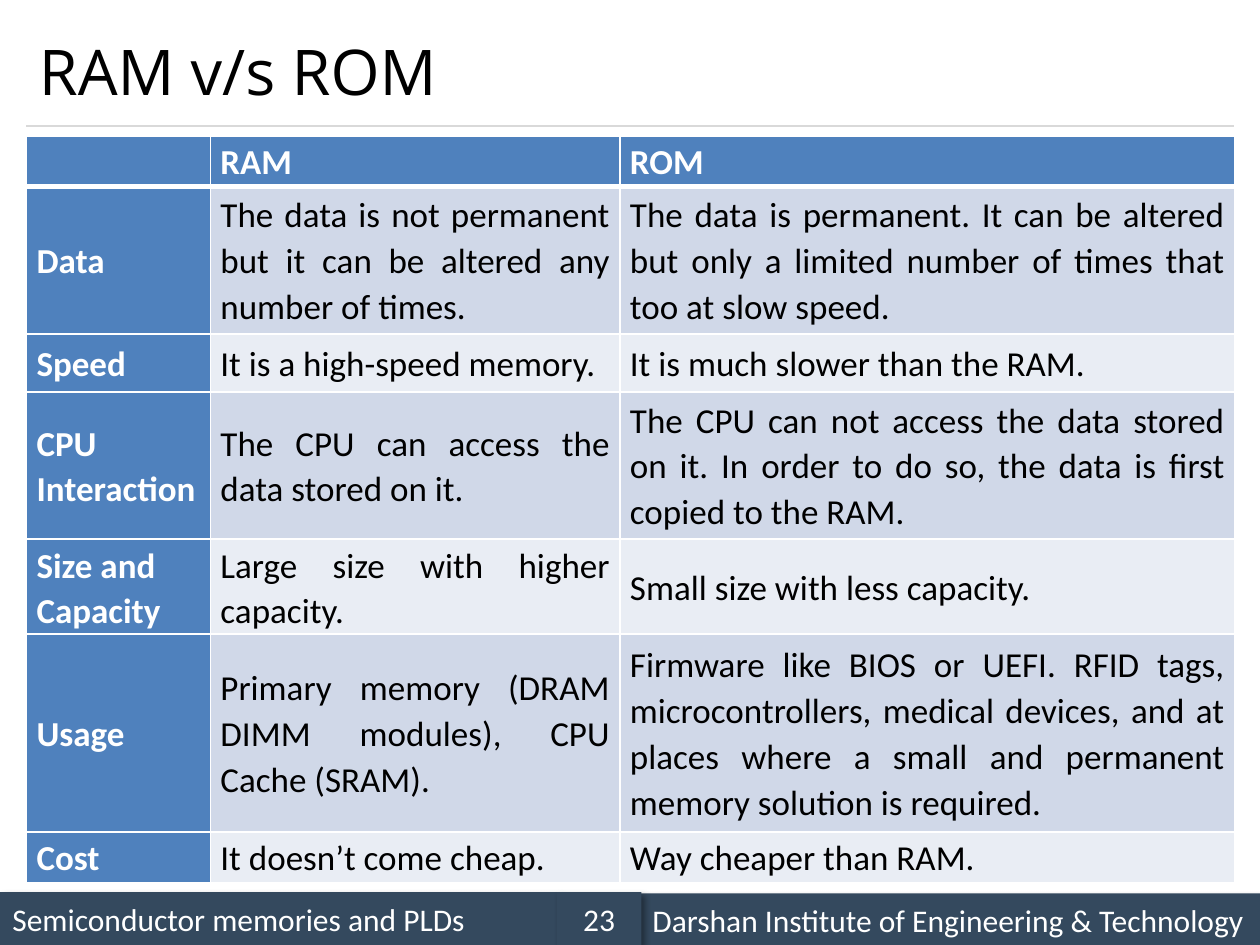
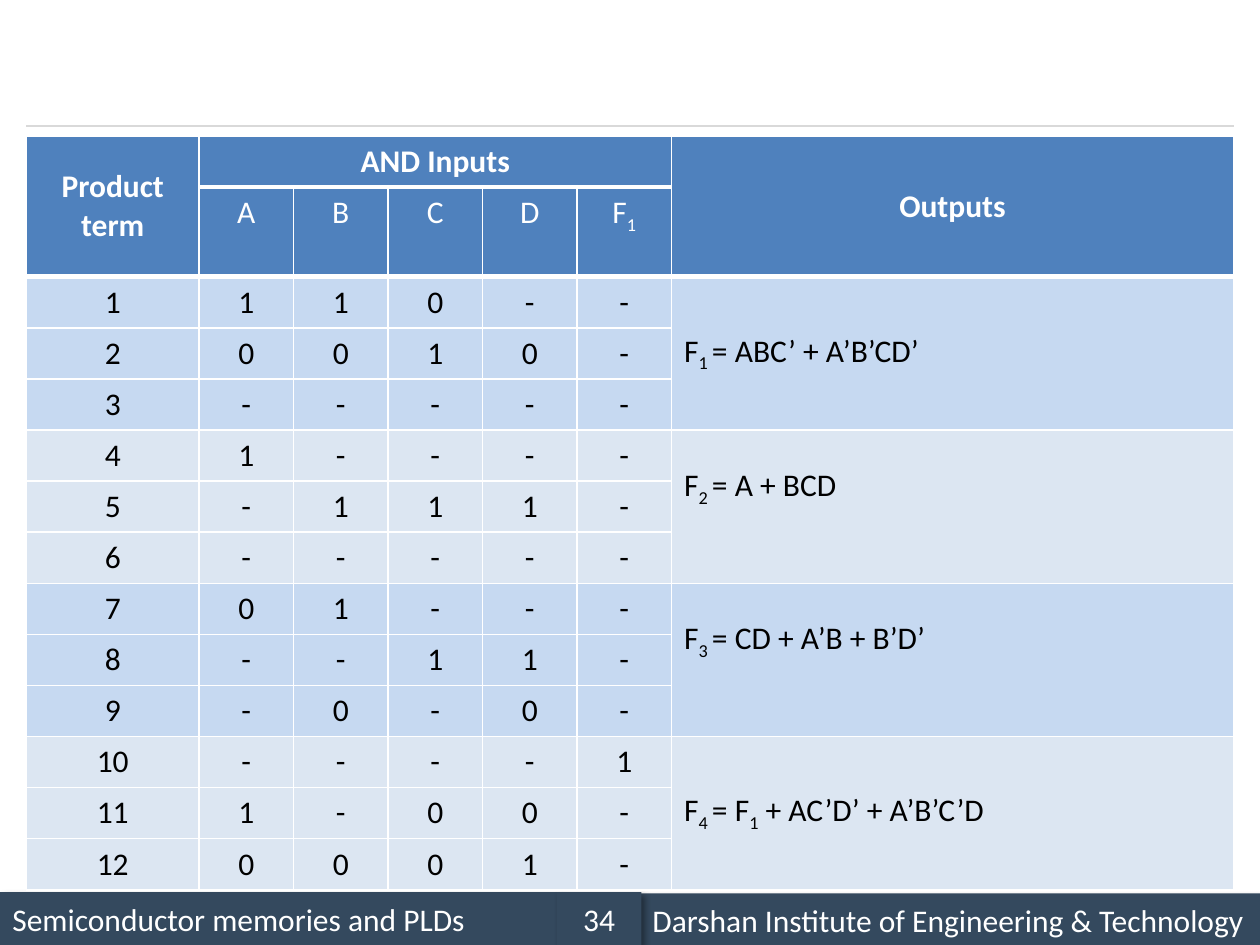
from lxml import etree
from pptx import Presentation
from pptx.dml.color import RGBColor
from pptx.enum.shapes import MSO_CONNECTOR, MSO_SHAPE
from pptx.enum.text import MSO_ANCHOR as Anchor, PP_ALIGN as Align
from pptx.oxml import parse_xml
from pptx.oxml.ns import nsdecls, qn
from pptx.util import Inches, Pt

COLOURS = {
    "white": "FFFFFF", "black": "000000", "footer": "34495E", "rule": "D9D9D9",
    "header": "4F81BD", "band_dark": "D0D8E8", "band_light": "E9EDF4",
    "group_dark": "C6D9F1", "group_light": "DCE6F2",
}
BODY_FONT = "Calibri"
TITLE_FONT = "Open Sans"
TABLE_BOX = (0.21, 1.08, 9.58)

MEMORY_ROWS = [
    ("", "RAM", "ROM"),
    ("Data",
     "The data is not permanent but it can be altered any number of times.",
     "The data is permanent. It can be altered but only a limited number of times "
     "that too at slow speed."),
    ("Speed", "It is a high-speed memory.", "It is much slower than the RAM."),
    ("CPU Interaction",
     "The CPU can access the data stored on it.",
     "The CPU can not access the data stored on it. In order to do so, the data is "
     "first copied to the RAM."),
    ("Size and Capacity", "Large size with higher capacity.",
     "Small size with less capacity."),
    ("Usage",
     "Primary memory (DRAM DIMM modules), CPU Cache (SRAM).",
     "Firmware like BIOS or UEFI. RFID tags, microcontrollers, medical devices, and "
     "at places where a small and permanent memory solution is required."),
    ("Cost", "It doesn’t come cheap.", "Way cheaper than RAM."),
]
MEMORY_HEIGHTS = [0.4, 1.17, 0.46, 1.17, 0.75, 1.57, 0.4]
MEMORY_WIDTHS = [1.46, 3.25, 4.88]

INPUT_NAMES = ["A", "B", "C", "D", "F_1_"]
PRODUCT_TERMS = [
    "110--", "0010-", "-----",
    "1----", "-111-", "-----",
    "01---", "--11-", "-0-0-",
    "----1", "1-00-", "0001-",
]
OUTPUTS = [
    ("F_1 _= ABC’ + A’B’CD’", 0.05),
    ("F_2 _= A + BCD", 0.35),
    ("F_3 _= CD + A’B + B’D’", 0.35),
    ("F_4 _= F_1_ + AC’D’ + A’B’C’D", 0.05),
]
TERMS_PER_OUTPUT = 3
PRODUCT_WIDTHS = [1.37] + [0.75] * 5 + [4.46]
PRODUCT_HEIGHT = 5.68


def colour(name):
    return RGBColor.from_string(COLOURS[name])


def set_font(paragraph, size, colour_name, name=BODY_FONT, bold=False):
    font = paragraph.font
    font.name, font.size, font.bold = name, Pt(size), bold
    font.color.rgb = colour(colour_name)


def add_shadow(shape):
    shape.shadow.inherit = False
    effects = shape._element.spPr.find(qn("a:effectLst"))
    effects.append(parse_xml(
        f'<a:outerShdw {nsdecls("a")} blurRad="{Pt(4)}" dist="{Pt(3)}" dir="2700000" '
        f'algn="tl" rotWithShape="0"><a:srgbClr val="{COLOURS["black"]}">'
        '<a:alpha val="40000"/></a:srgbClr></a:outerShdw>'))


def add_footer_band(slide, left, top, width, text, alignment=Align.LEFT):
    band = slide.shapes.add_shape(
        MSO_SHAPE.RECTANGLE, Inches(left), Inches(top), Inches(width), Inches(0.42))
    band.fill.solid()
    band.fill.fore_color.rgb = colour("footer")
    band.line.fill.background()
    add_shadow(band)
    band.text_frame.vertical_anchor = Anchor.MIDDLE
    paragraph = band.text_frame.paragraphs[0]
    paragraph.text = text
    paragraph.alignment = alignment
    set_font(paragraph, 18, "white")


def add_title_rule(slide):
    rule = slide.shapes.add_connector(
        MSO_CONNECTOR.STRAIGHT, Inches(0.21), Inches(1), Inches(9.79), Inches(1))
    rule.line.color.rgb = colour("rule")
    rule.line.width = Pt(0.75)
    etree.SubElement(rule._element.spPr, qn("a:effectLst"))


def add_title(slide, text):
    title = slide.shapes.add_textbox(
        Inches(0.21), Inches(0.12), Inches(9.58), Inches(0.88))
    title.text_frame.word_wrap = True
    title.text_frame.vertical_anchor = Anchor.MIDDLE
    paragraph = title.text_frame.paragraphs[0]
    paragraph.text = text
    set_font(paragraph, 36, "black", TITLE_FONT)


def add_base_slide(presentation, number):
    slide = presentation.slides.add_slide(presentation.slide_layouts[6])
    add_footer_band(slide, 0, 7.08, 4.42, "Semiconductor memories and PLDs")
    add_title_rule(slide)
    add_footer_band(slide, 5.08, 7.09, 4.92,
                    "Darshan Institute of Engineering & Technology")
    add_footer_band(slide, 4.42, 7.08, 0.67, str(number), Align.CENTER)
    return slide


def add_grid(slide, box, widths, heights):
    left, top, width = box
    table = slide.shapes.add_table(
        len(heights), len(widths), Inches(left), Inches(top),
        Inches(width), Inches(sum(heights))).table
    table.first_row = table.horz_banding = False
    for column, column_width in zip(table.columns, widths):
        column.width = Inches(column_width)
    for row, height in zip(table.rows, heights):
        row.height = Inches(height)
    return table


def draw_borders(table, header_rows):
    for row_index, row in enumerate(table.rows):
        for cell in row.cells:
            points = {
                "L": 1, "R": 1,
                "T": 3 if 0 < row_index <= header_rows else 1,
                "B": 3 if row_index < header_rows else 1,
            }
            properties = cell._tc.get_or_add_tcPr()
            for position, (side, width) in enumerate(points.items()):
                properties.insert(position, parse_xml(
                    f'<a:ln{side} {nsdecls("a")} w="{Pt(width)}"><a:solidFill>'
                    f'<a:srgbClr val="{COLOURS["white"]}"/></a:solidFill></a:ln{side}>'))


def fill_cell(cell, text, fill, size, alignment, bold=False, anchor=Anchor.MIDDLE):
    cell.fill.solid()
    cell.fill.fore_color.rgb = colour(fill)
    cell.vertical_anchor = anchor
    paragraph = cell.text_frame.paragraphs[0]
    paragraph.alignment = alignment
    set_font(paragraph, size, "white" if fill == "header" else "black", bold=bold)
    for index, part in enumerate(text.split("_")):
        if part:
            run = paragraph.add_run()
            run.text = part
            if index % 2:
                run._r.get_or_add_rPr().set("baseline", "-25000")
    return paragraph


def add_memory_table(slide, box):
    table = add_grid(slide, box, MEMORY_WIDTHS, MEMORY_HEIGHTS)
    for row_index, texts in enumerate(MEMORY_ROWS):
        band = "band_dark" if row_index % 2 else "band_light"
        for column_index, text in enumerate(texts):
            cell = table.cell(row_index, column_index)
            heading = row_index == 0 or column_index == 0
            paragraph = fill_cell(
                cell, text, "header" if heading else band, 20,
                Align.LEFT if heading else Align.JUSTIFY, bold=heading)
            paragraph.line_spacing = 1.07
            cell.margin_left = cell.margin_right = Inches(0.08)
            cell.margin_top = cell.margin_bottom = Inches(0.02)
    draw_borders(table, 1)


def add_product_table(slide, box):
    row_count = len(PRODUCT_TERMS) + 2
    table = add_grid(slide, box, PRODUCT_WIDTHS, [PRODUCT_HEIGHT / row_count] * row_count)
    last = len(PRODUCT_WIDTHS) - 1

    headings = [("Product term", 0, 1, 0), ("AND Inputs", 1, 0, last - 1),
                ("Outputs", last, 1, last)]
    for text, first_column, end_row, end_column in headings:
        cell = table.cell(0, first_column)
        cell.merge(table.cell(end_row, end_column))
        fill_cell(cell, text, "header", 18, Align.CENTER, bold=True)
    for column_index, name in enumerate(INPUT_NAMES, 1):
        fill_cell(table.cell(1, column_index), name, "header", 18, Align.CENTER,
                  anchor=Anchor.TOP)

    for term_index, inputs in enumerate(PRODUCT_TERMS):
        group, position = divmod(term_index, TERMS_PER_OUTPUT)
        row_index = term_index + 2
        fill = "group_light" if group % 2 else "group_dark"
        for column_index, text in enumerate([str(term_index + 1), *inputs]):
            fill_cell(table.cell(row_index, column_index), text, fill, 18,
                      Align.CENTER, anchor=Anchor.TOP)
        if position == 0:
            output, bottom_margin = OUTPUTS[group]
            cell = table.cell(row_index, last)
            cell.merge(table.cell(row_index + TERMS_PER_OUTPUT - 1, last))
            fill_cell(cell, output, fill, 18, Align.LEFT)
            cell.margin_bottom = Inches(bottom_margin)
    draw_borders(table, 2)


def main():
    presentation = Presentation()
    presentation.slide_width, presentation.slide_height = Inches(10), Inches(7.5)

    memory_slide = add_base_slide(presentation, 23)
    add_title(memory_slide, "RAM v/s ROM")
    add_memory_table(memory_slide, TABLE_BOX)

    product_slide = add_base_slide(presentation, 34)
    add_product_table(product_slide, TABLE_BOX)

    presentation.save("out.pptx")


if __name__ == "__main__":
    main()
